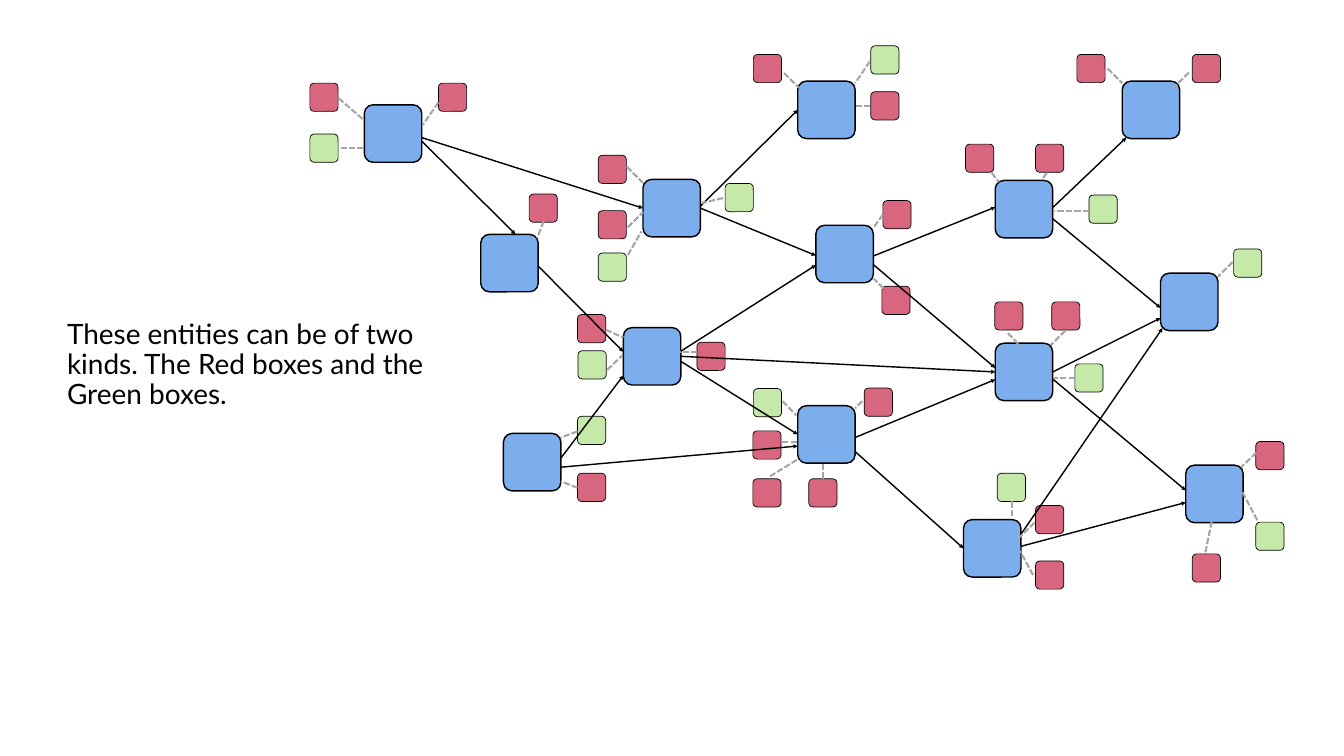
from lxml import etree
from pptx import Presentation, util as u
from pptx.dml.color import RGBColor
from pptx.enum import dml, shapes, text
from pptx.oxml.ns import qn

COLUMNS, ROWS = 26.67, 15
CELL = u.Inches(1)
HUB_SIDE, ENTITY_SIDE = 1.14, 0.56
COLORS = {"hub": "7CADED", "red": "D8667E", "green": "C5E9A8",
          "ink": "000000", "spoke": "A6A6A6"}

HUBS = {
    "A": (1.23, 2.08), "B": (3.54, 4.65), "C": (6.76, 3.56), "D": (6.37, 6.5),
    "E": (3.99, 8.6), "F": (10.19, 4.47), "G": (9.83, 8.05), "H": (9.83, 1.61),
    "I": (13.75, 3.58), "J": (13.75, 6.81), "K": (13.12, 10.31),
    "L": (17.03, 5.42), "M": (16.27, 1.61), "N": (17.53, 9.23),
}

ENTITIES = {
    "A": [("red", (-1.08, -0.43), (-0.51, -0.13), (-0.01, 0.3)),
          ("green", (-1.08, 0.58), (-0.47, 0.86), (-0.01, 0.86)),
          ("red", (1.47, -0.43), (1.47, -0.05), (1.16, 0.4))],
    "B": [("red", (0.96, -0.8), (1.25, -0.26), (1.12, 0.07))],
    "C": [("red", (-0.89, -0.48), (-0.32, -0.25), (0, 0.07)),
          ("red", (-0.89, 0.62), (-0.3, 0.95), (0, 0.65)),
          ("green", (-0.89, 1.46), (-0.3, 1.5), (-0.03, 1.03)),
          ("green", (1.63, 0.08), (1.59, 0.37), (1.16, 0.47))],
    "D": [("red", (-0.91, -0.26), (-0.35, 0.04), (0, 0.2)),
          ("green", (-0.9, 0.46), (-0.32, 0.84), (-0.02, 0.55)),
          ("red", (1.46, 0.29), (1.47, 0.49), (1.13, 0.49))],
    "E": [("green", (1.47, -0.34), (1.47, -0.04), (1.14, 0.08)),
          ("red", (1.47, 0.79), (1.47, 1.08), (1.14, 0.95))],
    "F": [("red", (1.33, -0.49), (1.33, -0.21), (1.14, 0.05)),
          ("red", (1.31, 1.21), (1.34, 1.25), (1.15, 1.06))],
    "G": [("red", (-0.89, 0.5), (-0.31, 0.72), (0.03, 0.72)),
          ("green", (-0.88, -0.34), (-0.3, -0.09), (-0.03, 0.19)),
          ("red", (-0.89, 1.45), (-0.55, 1.4), (-0.01, 1.07)),
          ("red", (0.22, 1.45), (0.51, 1.45), (0.51, 1.13)),
          ("red", (1.32, -0.35), (1.28, -0.09), (1.14, 0.05))],
    "H": [("red", (-0.88, -0.53), (-0.27, -0.16), (0.02, 0.13)),
          ("green", (1.45, -0.7), (1.43, -0.39), (1.14, 0.04)),
          ("red", (1.45, 0.21), (1.44, 0.49), (1.14, 0.49))],
    "I": [("red", (-0.59, -0.72), (-0.07, -0.15), (0.07, 0.03)),
          ("red", (0.8, -0.72), (1.02, -0.15), (0.93, -0.02)),
          ("green", (1.86, 0.29), (1.86, 0.6), (1.15, 0.6))],
    "J": [("red", (-0.01, -0.82), (0.25, -0.2), (0.54, 0.1)),
          ("red", (1.12, -0.82), (1.39, -0.25), (1.1, 0.04)),
          ("green", (1.58, 0.41), (1.58, 0.69), (1.15, 0.69))],
    "K": [("green", (0.67, -0.92), (0.96, -0.36), (0.96, -0.04)),
          ("red", (1.43, -0.28), (1.41, 0.06), (1.11, 0.35)),
          ("red", (1.43, 0.82), (1.38, 1.1), (1.12, 0.62))],
    "L": [("green", (1.45, -0.48), (1.43, -0.22), (1.14, 0.07))],
    "M": [("red", (-0.9, -0.53), (-0.29, -0.25), (0, 0.04)),
          ("red", (1.39, -0.53), (1.32, -0.17), (1.02, 0.13))],
    "N": [("red", (1.39, -0.47), (1.4, -0.25), (1.1, 0.04)),
          ("green", (1.39, 1.13), (1.42, 1.09), (1.12, 0.53)),
          ("red", (0.13, 1.76), (0.39, 1.73), (0.52, 1.09))],
}

ARROWS = [
    ("A", 0.72, "B", (0.69, 0)), ("A", 0.65, "C", (0, 0.56)),
    ("C", 0.53, "H", (0, 0.57)), ("C", 0.57, "F", (0, 0.6)),
    ("B", 0.63, "D", (0, 0.48)), ("E", 0.49, "D", (0, 0.95)),
    ("D", 0.47, "F", (0, 0.79)), ("D", 0.67, "G", (0, 0.55)),
    ("F", 0.61, "I", (0, 0.53)), ("F", 0.78, "J", (0, 0.49)),
    ("G", 0.63, "J", (0, 0.72)), ("G", 0.91, "K", (0, 0.56)),
    ("I", 0.54, "M", (0.08, 1.12)), ("I", 0.76, "L", (0, 0.69)),
    ("J", 0.56, "L", (0, 0.89)), ("J", 0.71, "N", (0, 0.5)),
    ("K", 0.53, "N", (0, 0.74)), ("E", 0.67, "G", (0, 0.8)),
    ("D", 0.56, "J", (0, 0.58)), ("K", 0.29, "L", (0.04, 1.09)),
]


def cells(*values):
    return [round(value * CELL) for value in values]


def shift(origin, offset):
    return origin[0] + offset[0], origin[1] + offset[1]


def is_middle(height):
    return abs(height - HUB_SIDE / 2) < 0.02


def add_square(page, corner, side, kind, weight):
    square = page.shapes.add_shape(
        shapes.MSO_SHAPE.ROUNDED_RECTANGLE, *cells(*corner, side, side))
    square.adjustments[0] = 0.15
    square.shadow.inherit = False
    square.fill.solid()
    square.fill.fore_color.rgb = RGBColor.from_string(COLORS[kind])
    square.line.color.rgb = RGBColor.from_string(COLORS["ink"])
    square.line.width = u.Pt(weight)
    return square


def add_line(page, start, end, color, weight):
    line = page.shapes.add_connector(
        shapes.MSO_CONNECTOR.STRAIGHT, *cells(*start, *end))
    line.line.color.rgb = RGBColor.from_string(COLORS[color])
    line.line.width = u.Pt(weight)
    etree.SubElement(line._element.spPr, qn("a:effectLst"))
    return line


def add_arrow(page, corners, hubs, source, leave, target, arrive):
    arrow = add_line(page, shift(corners[source], (HUB_SIDE, leave)),
                     shift(corners[target], arrive), "ink", 2)
    etree.SubElement(arrow.line._get_or_add_ln(), qn("a:tailEnd"), type="triangle")
    if is_middle(leave):
        arrow.begin_connect(hubs[source], 3)
    if arrive[0] == 0 and is_middle(arrive[1]):
        arrow.end_connect(hubs[target], 1)


def add_network(page, box):
    corners = {name: shift(box, place) for name, place in HUBS.items()}
    spokes = []
    for name, entities in ENTITIES.items():
        for kind, place, *ends in entities:
            add_square(page, shift(corners[name], place), ENTITY_SIDE, kind, 1)
            spokes.append([shift(corners[name], end) for end in ends])
    hubs = {name: add_square(page, corner, HUB_SIDE, "hub", 2)
            for name, corner in corners.items()}
    for arrow in ARROWS:
        add_arrow(page, corners, hubs, *arrow)
    for start, end in spokes:
        spoke = add_line(page, start, end, "spoke", 3)
        spoke.line.dash_style = dml.MSO_LINE.SQUARE_DOT


def add_statement(page, box, words):
    title = page.shapes.title
    for name, value in zip(("left", "top", "width", "height"), cells(*box)):
        setattr(title, name, value)
    frame = title.text_frame
    frame.text = words
    margins = dict.fromkeys(
        ("margin_left", "margin_top", "margin_right", "margin_bottom"), u.Inches(0.06))
    para = frame.paragraphs[0]
    span = para.runs[0]
    formats = [
        (frame, {**margins, "word_wrap": True, "auto_size": text.MSO_AUTO_SIZE.NONE,
                 "vertical_anchor": text.MSO_ANCHOR.MIDDLE}),
        (para, {"alignment": text.PP_ALIGN.LEFT, "line_spacing": 0.9,
                "space_before": u.Pt(0)}),
        (span.font, {"name": "Lato", "size": u.Pt(40), "bold": False}),
    ]
    for target, values in formats:
        for name, value in values.items():
            setattr(target, name, value)
    span.font.color.rgb = RGBColor.from_string(COLORS["ink"])


def main():
    deck = Presentation()
    deck.slide_width, deck.slide_height = cells(COLUMNS, ROWS)
    page = deck.slides.add_slide(deck.slide_layouts[5])
    add_network(page, (6, 0))
    add_statement(page, (1.27, 6.03, 7.64, 2.44),
                  "These entities can be of two kinds. The Red boxes and the Green boxes.")
    deck.save("out.pptx")


if __name__ == "__main__":
    main()
